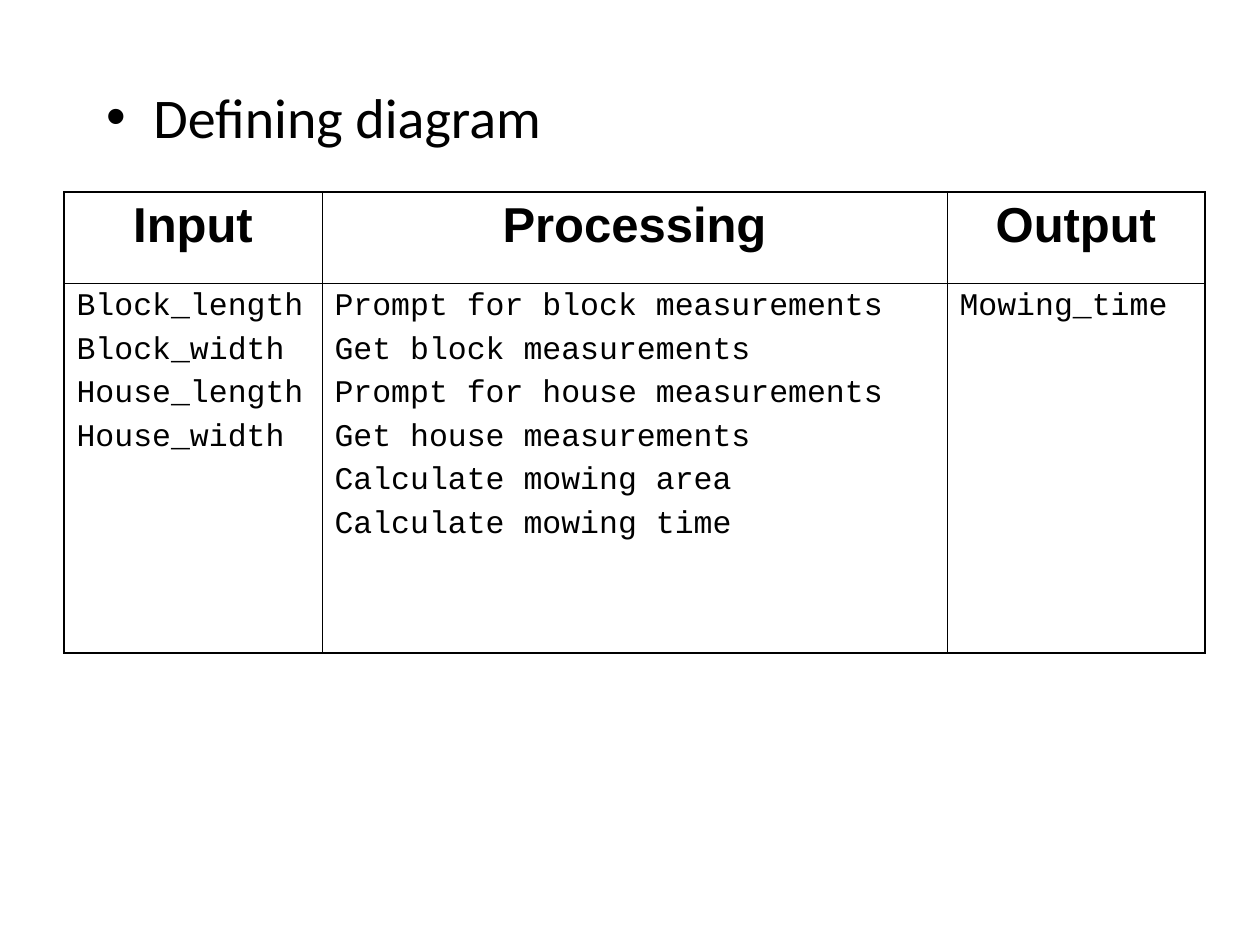
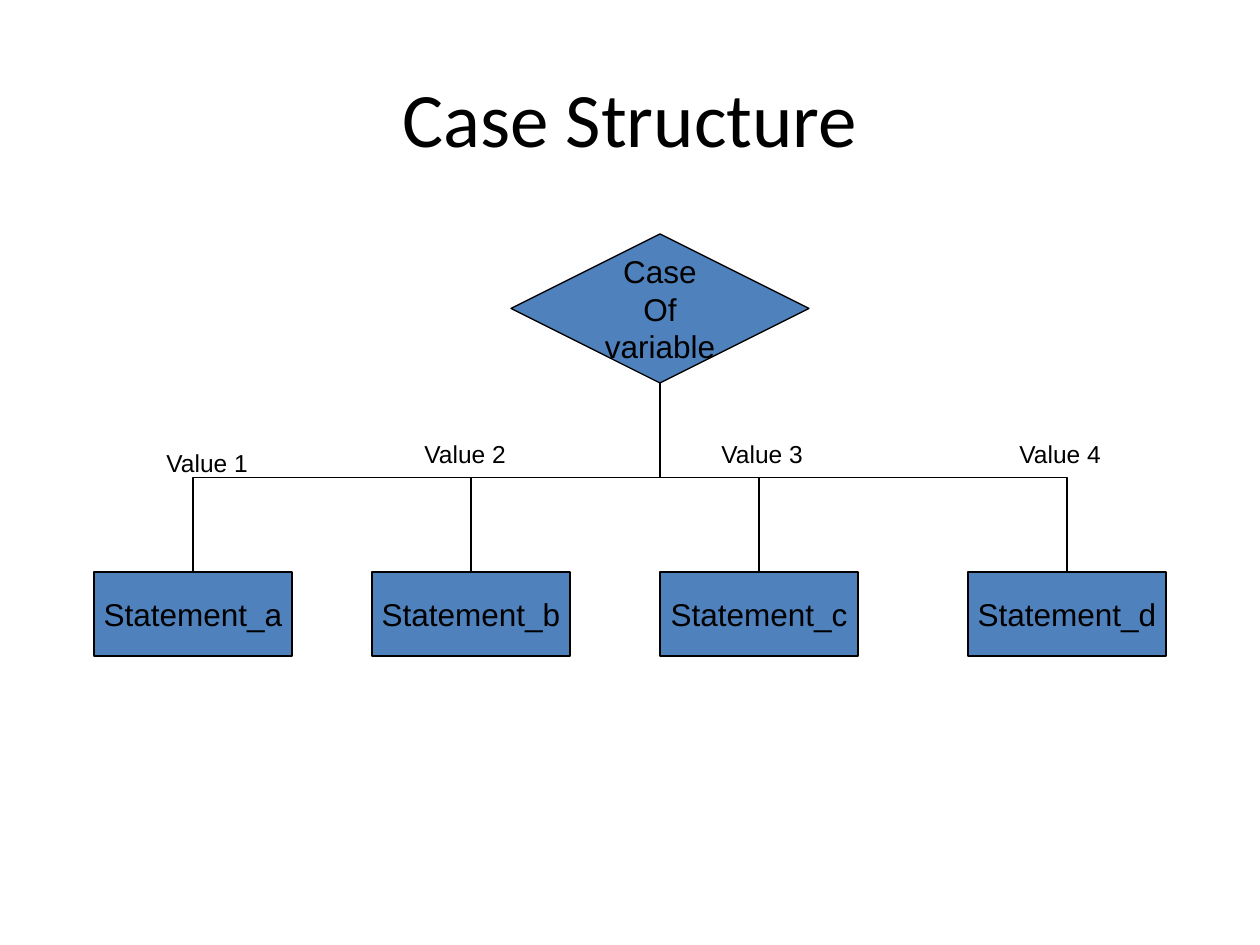
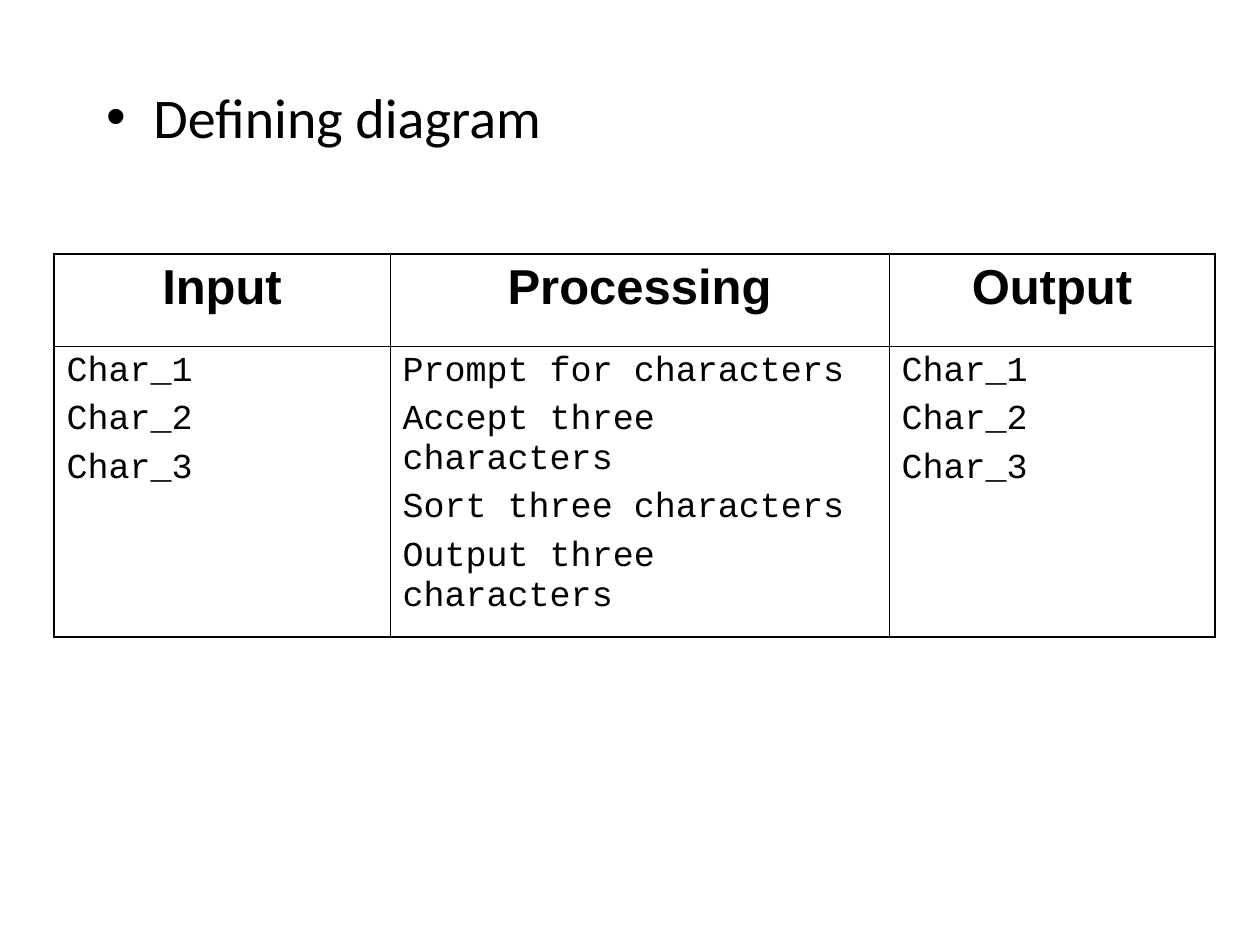
from lxml import etree
from pptx import Presentation
from pptx.dml.color import RGBColor
from pptx.enum.shapes import MSO_CONNECTOR, MSO_SHAPE
from pptx.enum.text import MSO_ANCHOR, MSO_AUTO_SIZE, PP_ALIGN
from pptx.oxml.ns import qn
from pptx.util import Emu, Pt

ELBOW = MSO_CONNECTOR.ELBOW
DECISION = MSO_SHAPE.FLOWCHART_DECISION
PROCESS = MSO_SHAPE.FLOWCHART_PROCESS
MIDDLE, TOP = MSO_ANCHOR.MIDDLE, MSO_ANCHOR.TOP
FIT = MSO_AUTO_SIZE.SHAPE_TO_FIT_TEXT
CENTER, LEFT = PP_ALIGN.CENTER, PP_ALIGN.LEFT

COLORS = {"ink": "000000", "node": "4F81BD", "paper": "FFFFFF"}
HEADING, LABEL, CODE = "Calibri", "Arial", "Courier New"
OUTER, INNER, LINE = 1.08, 0.45, 0.75
HEADERS = ["Input", "Processing", "Output"]


def px(length):
    return Emu(round(length * 914400 / 126))


def color(name):
    return RGBColor.from_string(COLORS[name])


class Deck:
    def __init__(self):
        self.prs = Presentation()
        self.prs.slide_width, self.prs.slide_height = px(1260), px(945)
        self.slide = None

    def new_slide(self):
        self.slide = self.prs.slides.add_slide(self.prs.slide_layouts[6])
        self.slide.background.fill.solid()
        self.slide.background.fill.fore_color.rgb = color("paper")

    def fill_text(self, frame, text, size, font, align=LEFT, bold=False, gap=0):
        frame.text = text
        for index, paragraph in enumerate(frame.paragraphs):
            paragraph.alignment = align
            if index:
                paragraph.space_before = Pt(gap)
            for run in paragraph.runs:
                run.font.size, run.font.name, run.font.bold = Pt(size), font, bold
                run.font.color.rgb = color("ink")

    def text(self, box, text, size, font, align=LEFT, anchor=TOP, wrap=True):
        frame = self.slide.shapes.add_textbox(*map(px, box)).text_frame
        self.fill_text(frame, text, size, font, align)
        frame.word_wrap = wrap
        frame.vertical_anchor = anchor
        return frame

    def title(self, text):
        self.text((63, 38, 1134, 157), text, 44, HEADING, CENTER, MIDDLE)

    def bullet(self, text):
        frame = self.text((94, 76, 1071, 765), text, 32, HEADING)
        properties = frame.paragraphs[0]._p.get_or_add_pPr()
        properties.set("marL", str(px(47)))
        properties.set("indent", str(-px(47)))
        etree.SubElement(properties, qn("a:buFont")).set("typeface", "Arial")
        etree.SubElement(properties, qn("a:buChar")).set("char", "•")

    def label(self, box, text):
        frame = self.text(box, text, 14, LABEL, wrap=False)
        frame.auto_size = FIT

    def node(self, kind, box, text):
        node = self.slide.shapes.add_shape(kind, *map(px, box))
        node.shadow.inherit = False
        node.fill.solid()
        node.fill.fore_color.rgb = color("node")
        node.line.color.rgb = color("ink")
        node.line.width = Pt(LINE)
        node.text_frame.word_wrap = False
        node.text_frame.vertical_anchor = MIDDLE
        self.fill_text(node.text_frame, text, 18, LABEL, CENTER)

    def branch(self, x1, y1, x2, y2):
        side = 1 if x2 < x1 else -1
        mid_x, mid_y = (x1 + x2) / 2, (y1 + y2) / 2
        reach, spread = side * (y2 - y1) / 2, abs(x2 - x1) / 2
        ends = (mid_x - reach, mid_y - spread, mid_x + reach, mid_y + spread)
        branch = self.slide.shapes.add_connector(ELBOW, *map(px, ends))
        branch.line.color.rgb = color("ink")
        branch.line.width = Pt(LINE)
        properties = branch._element.spPr
        turn = 90 if side == 1 else 270
        properties.find(qn("a:xfrm")).set("rot", str(turn * 60000))
        etree.SubElement(properties, qn("a:effectLst"))

    def borders(self, cell, weights):
        properties = cell._tc.get_or_add_tcPr()
        for index, (side, weight) in enumerate(zip("LRTB", weights)):
            edge = etree.Element(qn(f"a:ln{side}"))
            if weight:
                edge.set("w", str(Pt(weight)))
                fill = etree.SubElement(edge, qn("a:solidFill"))
                etree.SubElement(fill, qn("a:srgbClr")).set("val", COLORS["ink"])
            else:
                etree.SubElement(edge, qn("a:noFill"))
            properties.insert(index, edge)

    def defining_table(self, left, top, widths, heights, entries, size):
        frame = self.slide.shapes.add_table(
            len(heights), len(widths), *map(px, (left, top, sum(widths), sum(heights))))
        table = frame.table
        table.first_row = table.horz_banding = False
        for column, width in zip(table.columns, widths):
            column.width = px(width)
        for row, height in zip(table.rows, heights):
            row.height = px(height)
        last_row, last_column = len(heights) - 1, len(widths) - 1
        for r in range(len(heights)):
            for c in range(len(widths)):
                cell = table.cell(r, c)
                cell.fill.background()
                self.borders(cell, (
                    INNER if c else OUTER,
                    OUTER if c == last_column else INNER,
                    (OUTER, INNER)[r] if r < 2 else None,
                    OUTER if r == last_row else None if r else INNER))
        for c, (header, lines) in enumerate(zip(HEADERS, entries)):
            self.fill_text(table.cell(0, c).text_frame, header, 28, LABEL, CENTER, True)
            self.fill_text(table.cell(1, c).text_frame, "\n".join(lines), size, CODE,
                           gap=size / 4)
        return table


def mowing_slide(deck):
    deck.new_slide()
    deck.bullet("Defining diagram")
    table = deck.defining_table(64, 192, (258, 625, 258), (91, 140, 139, 91), [
        ["Block_length", "Block_width", "House_length", "House_width"],
        ["Prompt for block measurements", "Get block measurements",
         "Prompt for house measurements", "Get house measurements",
         "Calculate mowing area", "Calculate mowing time"],
        ["Mowing_time"]], 18)
    for c in range(2):
        table.cell(1, c).merge(table.cell(2, c))


def case_slide(deck):
    deck.new_slide()
    deck.title("Case Structure")
    deck.node(DECISION, (511, 234, 298, 149), "Case\nOf\nvariable")
    statement_lefts = (94, 372, 660, 968)
    for letter, left in zip("abcd", statement_lefts):
        deck.node(PROCESS, (left, 572, 198, 84), f"Statement_{letter}")
    for left in statement_lefts:
        deck.branch(660, 383, left + 99, 572)
    value_places = ((154, 442), (412, 433), (709, 433), (1007, 433))
    for number, (left, top) in enumerate(value_places, 1):
        deck.label((left, top, 108, 43), f"Value {number}")


def characters_slide(deck):
    deck.new_slide()
    deck.bullet("Defining diagram")
    characters = [f"Char_{number}" for number in range(1, 4)]
    deck.defining_table(54, 254, (336, 499, 326), (92, 290), [
        characters,
        ["Prompt for characters", "Accept three characters",
         "Sort three characters", "Output three characters"],
        characters], 20)


def main():
    deck = Deck()
    mowing_slide(deck)
    case_slide(deck)
    characters_slide(deck)
    deck.prs.save("out.pptx")


if __name__ == "__main__":
    main()
